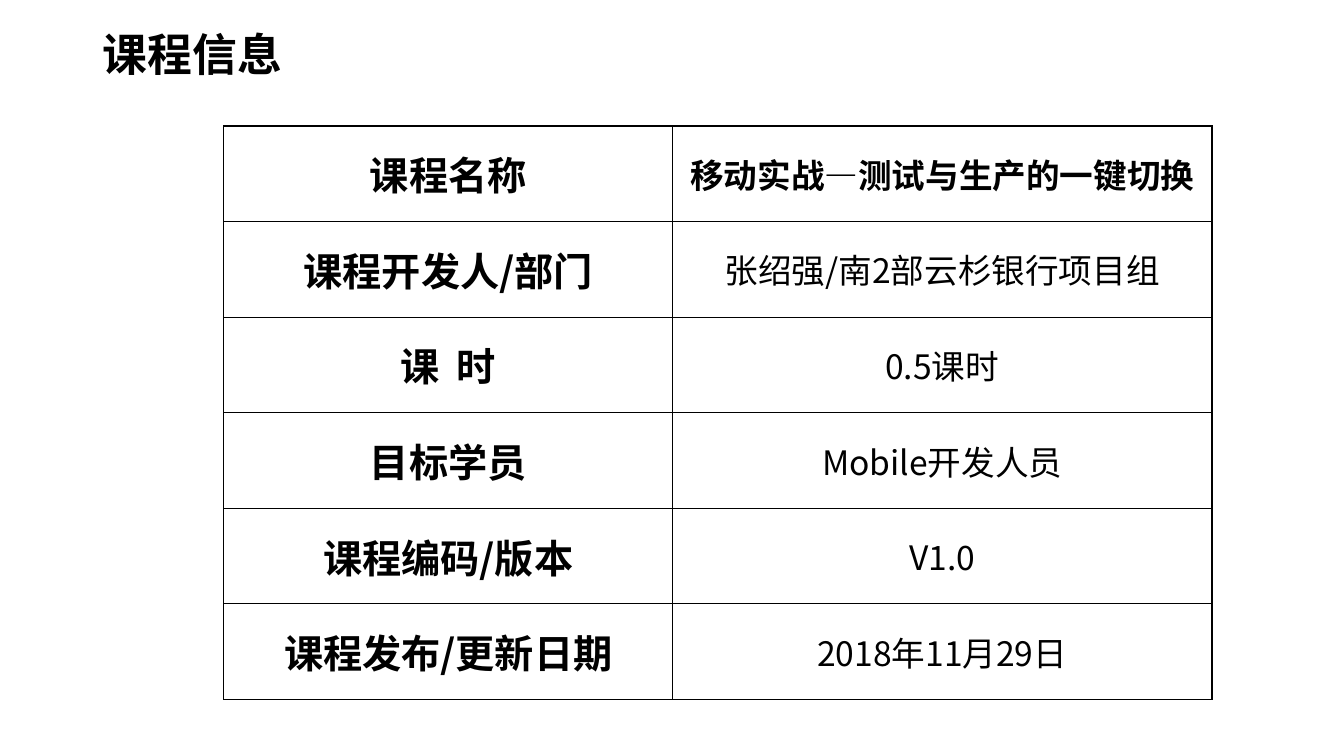
from lxml import etree
from pptx import Presentation
from pptx.dml.color import RGBColor
from pptx.enum.text import MSO_ANCHOR, PP_ALIGN
from pptx.oxml.ns import qn
from pptx.util import Inches, Pt

MIDDLE = MSO_ANCHOR.MIDDLE
LEFT, CENTER = PP_ALIGN.LEFT, PP_ALIGN.CENTER
CJK_FONT, TITLE_FONT = "Noto Sans CJK SC", "Calibri"
BLACK = "000000"

COURSE_INFO = [
    ("课程名称", "移动实战—测试与生产的一键切换"),
    ("课程开发人/部门", "张绍强/南2部云杉银行项目组"),
    ("课 时", "0.5课时"),
    ("目标学员", "Mobile开发人员"),
    ("课程编码/版本", "V1.0"),
    ("课程发布/更新日期", "2018年11月29日"),
]


def color(hex_code):
    return RGBColor.from_string(hex_code)


def write(frame, text, size, bold=False, font=CJK_FONT, align=CENTER,
          line_spacing=None, tracking=0):
    frame.word_wrap = True
    paragraph = frame.paragraphs[0]
    paragraph.alignment = align
    paragraph.line_spacing = line_spacing
    run = paragraph.add_run()
    run.text = text
    run.font.size = Pt(size)
    run.font.bold = bold
    run.font.name = font
    run.font.color.rgb = color(BLACK)
    properties = run.font._element
    east_asian = etree.SubElement(properties, qn("a:ea"))
    east_asian.set("typeface", CJK_FONT)
    if tracking:
        properties.set("spc", str(tracking * 100))


def outline_cell(cell, width=1):
    properties = cell._tc.get_or_add_tcPr()
    for position, side in enumerate(("lnL", "lnR", "lnT", "lnB")):
        line = etree.Element(qn("a:" + side), w=str(Pt(width)))
        fill = etree.SubElement(line, qn("a:solidFill"))
        etree.SubElement(fill, qn("a:srgbClr"), val=BLACK)
        # Borders must precede the cell fill
        properties.insert(position, line)


def add_title(slide, left, top, width, height):
    box = slide.shapes.add_textbox(Inches(left), Inches(top),
                                   Inches(width), Inches(height))
    box.text_frame.vertical_anchor = MIDDLE
    write(box.text_frame, "课程信息", 32, bold=True, font=TITLE_FONT,
          align=LEFT, line_spacing=0.9)


def add_info_table(slide, left, top, width, height, label_width):
    table = slide.shapes.add_table(
        len(COURSE_INFO), 2, Inches(left), Inches(top),
        Inches(width), Inches(height)).table
    table.first_row = table.horz_banding = False
    table.columns[0].width = Inches(label_width)
    table.columns[1].width = Inches(width - label_width)

    for row, (label, detail) in enumerate(COURSE_INFO):
        label_cell, detail_cell = table.cell(row, 0), table.cell(row, 1)
        for cell in (label_cell, detail_cell):
            cell.vertical_anchor = MIDDLE
            cell.fill.background()
            outline_cell(cell)
        # A spaced-out label gets wider tracking
        write(label_cell.text_frame, label, 28, bold=True,
              tracking=3 if " " in label else 0)
        # The course name stands out in bold
        write(detail_cell.text_frame, detail, 24, bold=row == 0)


def main():
    presentation = Presentation()
    presentation.slide_width = Inches(13.33)
    presentation.slide_height = Inches(7.5)
    slide = presentation.slides.add_slide(presentation.slide_layouts[6])
    add_title(slide, 0.92, 0.27, 11.5, 0.59)
    add_info_table(slide, 2.22, 1.25, 9.8, 5.69, label_width=4.45)
    presentation.save("out.pptx")


if __name__ == "__main__":
    main()
